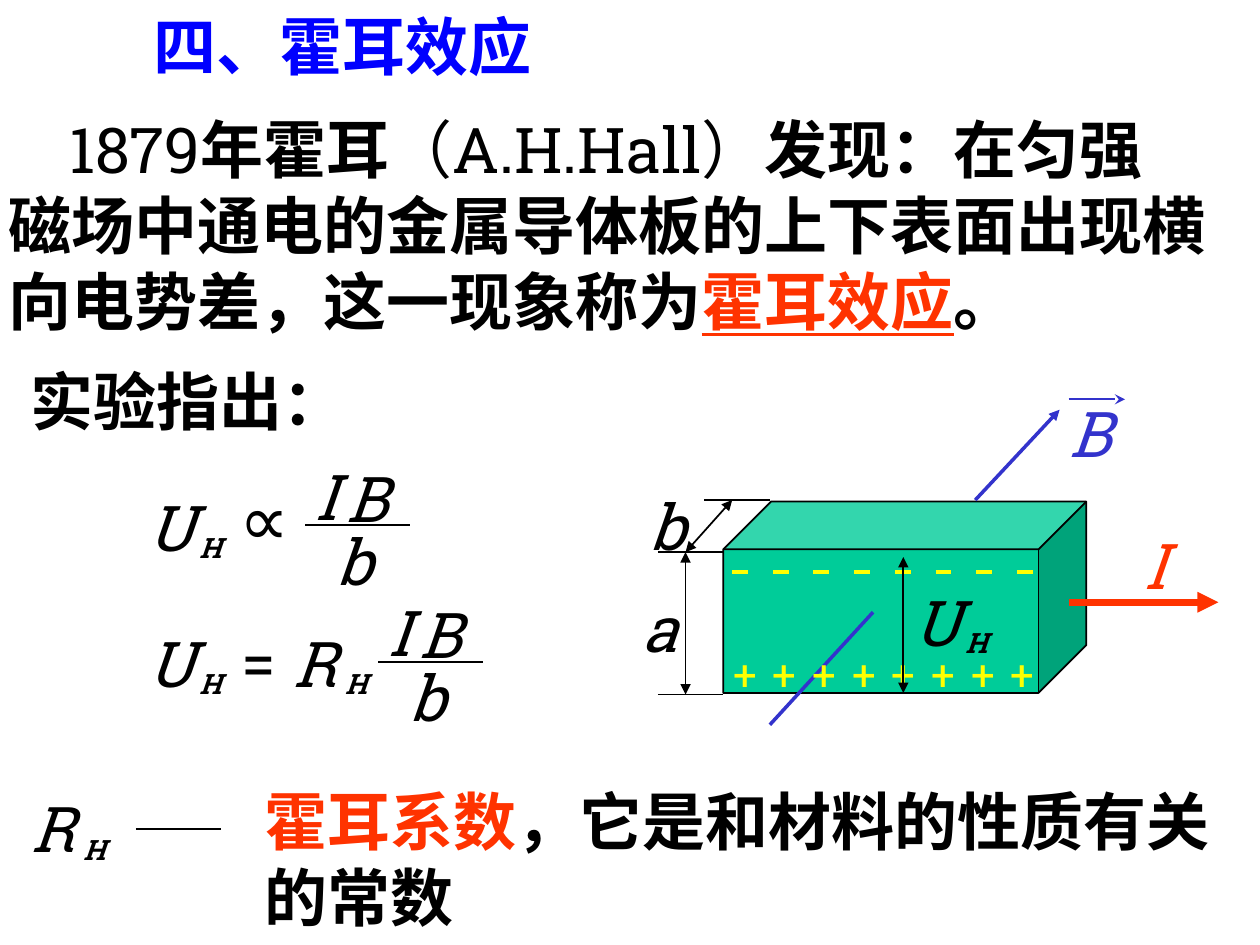
from lxml import etree
from pptx import Presentation
from pptx.dml.color import RGBColor
from pptx.enum.shapes import MSO_CONNECTOR, MSO_SHAPE
from pptx.enum.text import MSO_ANCHOR, MSO_AUTO_SIZE, PP_ALIGN
from pptx.oxml.ns import qn
from pptx.util import Cm, Pt

STRAIGHT = MSO_CONNECTOR.STRAIGHT
CUBE = MSO_SHAPE.CUBE
TOP, MIDDLE = MSO_ANCHOR.TOP, MSO_ANCHOR.MIDDLE
LEFT, CENTER = PP_ALIGN.LEFT, PP_ALIGN.CENTER
FIT_SHAPE = MSO_AUTO_SIZE.SHAPE_TO_FIT_TEXT

BLACK, RED, BLUE = "000000", "FF3300", "0000FF"
INDIGO, YELLOW, GREEN = "3333CC", "FFFF00", "00CC99"
BOLD = {"bold": True}
TERM = {"bold": True, "color": RED}


def color_of(value):
    return RGBColor.from_string(value)


class Board:
    """Draws styled elements on the current slide."""

    font = "Roboto Slab"
    size = 36

    def __init__(self, page):
        self.page = page

    def fill_box(self, box, place, lines, size=size, anchor=TOP, align=LEFT,
                 spacing=1.0, indent=0):
        box.left, box.top, box.width, box.height = map(Cm, place)
        frame = box.text_frame
        frame.word_wrap = False
        frame.auto_size = FIT_SHAPE
        frame.vertical_anchor = anchor
        for index, spans in enumerate(lines):
            para = frame.add_paragraph() if index else frame.paragraphs[0]
            properties = para._p.get_or_add_pPr()
            properties.set("marL", "0")
            properties.set("indent", str(Cm(0 if index else indent)))
            etree.SubElement(properties, qn("a:buNone"))
            para.alignment = align
            para.line_spacing = spacing
            para.space_before = Pt(0)
            for text, style in spans:
                self.add_span(para, text, size, **style)

    def add_span(self, para, text, size, color=BLACK, bold=False,
                 italic=False, underline=False):
        span = para.add_run()
        span.text = text
        span.font.name = self.font
        span.font.size = Pt(size)
        span.font.bold = bold
        span.font.italic = italic
        span.font.underline = underline
        span.font.color.rgb = color_of(color)

    def text(self, place, lines, **layout):
        box = self.page.shapes.add_textbox(*map(Cm, place))
        self.fill_box(box, place, lines, **layout)

    def symbol(self, left, top, letter, width=1.42, color=BLACK):
        style = {"italic": True, "color": color}
        self.text((left, top, width, 1.78), [[(letter, style)]])

    def hall_symbol(self, left, top, letter):
        self.symbol(left, top, letter)
        style = {"bold": True, "italic": True}
        self.text((left + 1.05, top + 0.85, 0.97, 0.94), [[("H", style)]], size=16)

    def fraction(self, left, top):
        self.symbol(left - 0.05, top - 1.5, "I", 0.91)
        self.symbol(left + 0.58, top - 1.45, "B")
        self.symbol(left + 0.38, top - 0.18, "b", 1.27)
        self.line(left, top, left + 2.11, top)

    def line(self, x1, y1, x2, y2, color=BLACK, width=1, head=None, tail=None):
        link = self.page.shapes.add_connector(STRAIGHT, *map(Cm, (x1, y1, x2, y2)))
        link.line.color.rgb = color_of(color)
        link.line.width = Pt(width)
        outline = link.line._get_or_add_ln()
        for tag, kind in (("a:headEnd", head), ("a:tailEnd", tail)):
            if kind:
                etree.SubElement(outline, qn(tag), type=kind)
        etree.SubElement(link._element.spPr, qn("a:effectLst"))

    def dimension(self, *ends):
        self.line(*ends, head="triangle", tail="triangle")

    def cube(self, place, color):
        block = self.page.shapes.add_shape(CUBE, *map(Cm, place))
        block.adjustments[0] = 0.25
        block.shadow.inherit = False
        block.fill.solid()
        block.fill.fore_color.rgb = color_of(color)
        block.line.color.rgb = color_of(BLACK)
        block.line.width = Pt(1)


def draw_statement(board):
    title, body = board.page.placeholders
    board.fill_box(title, (2.84, 0.2, 8.13, 1.63),
                   [[("四、霍耳效应", {"bold": True, "color": BLUE})]],
                   anchor=MIDDLE, spacing=0.9)
    board.fill_box(body, (-0.08, 2.11, 25.37, 6.35), [
        [("1879", {}), ("年霍耳", BOLD), ("（A.H.Hall）", {}),
         ("发现：在匀强", BOLD)],
        [("磁场中通电的金属导体板的上下表面出现横", BOLD)],
        [("向电势差，这一现象称为", BOLD),
         ("霍耳效应", {**TERM, "underline": True}), ("。", BOLD)],
    ], indent=1.22)
    board.text((0.36, 7.19, 6.86, 1.78), [[("实验指出：", BOLD)]])


def draw_formulas(board):
    board.hall_symbol(2.72, 9.73, "U")
    board.text((4.37, 9.65, 1.91, 1.78), [[("∝", {})]], size=40,
               anchor=MIDDLE, align=CENTER, spacing=0.9)
    board.fraction(6.15, 10.59)
    board.hall_symbol(2.72, 12.47, "U")
    board.text((4.62, 12.47, 1.27, 1.78), [[("=", {})]])
    board.hall_symbol(5.66, 12.47, "R")
    board.fraction(7.62, 13.34)
    board.hall_symbol(0.38, 15.8, "R")
    board.line(2.74, 16.71, 4.45, 16.71)
    board.text((5.08, 15.65, 19.56, 3.3), [
        [("霍耳系数", TERM), ("，它是和材料的性质有关", BOLD)],
        [("的常数", BOLD)],
    ])


def draw_conductor(board):
    back, top, bottom = 10.08, 11.13, 14
    board.line(13.26, bottom, 14.58, bottom)
    board.cube((14.58, 10.11, 7.32, 3.86), GREEN)
    board.line(21.54, 12.14, 24.56, 12.14, RED, 4, tail="triangle")
    board.symbol(22.81, 10.49, "I", 0.91, RED)
    board.line(19.66, back, 21.36, 8.26, INDIGO, 2, tail="triangle")
    board.line(17.6, 12.34, 15.52, 14.61, INDIGO, 2)
    board.symbol(21.31, 7.82, "B", color=INDIGO)
    board.line(21.54, 8.05, 22.68, 8.05, INDIGO, tail="stealth")
    for index in range(8):
        minus = 14.76 + 0.82 * index
        board.line(minus, 11.53, minus + 0.32, 11.53, YELLOW, 2)
        board.text((14.53 + 0.8 * index, 12.95, 1.02, 1.27),
                   [[("+", {"color": YELLOW})]], size=24)
    board.line(13.26, top, 14.58, top)
    board.line(14.2, back, 15.52, back)
    board.dimension(13.82, top, 13.82, bottom)
    board.dimension(13.82, top, 14.76, back)
    board.symbol(12.7, 11.76, "a", 1.3)
    board.symbol(12.85, 9.7, "b", 1.27)
    board.dimension(18.21, 11.23, 18.21, 13.97)
    board.hall_symbol(18.16, 11.63, "U")


def main():
    deck = Presentation()
    deck.slide_width, deck.slide_height = Cm(25.4), Cm(19.05)
    board = Board(deck.slides.add_slide(deck.slide_layouts[1]))
    draw_statement(board)
    draw_formulas(board)
    draw_conductor(board)
    deck.save("out.pptx")


if __name__ == "__main__":
    main()
